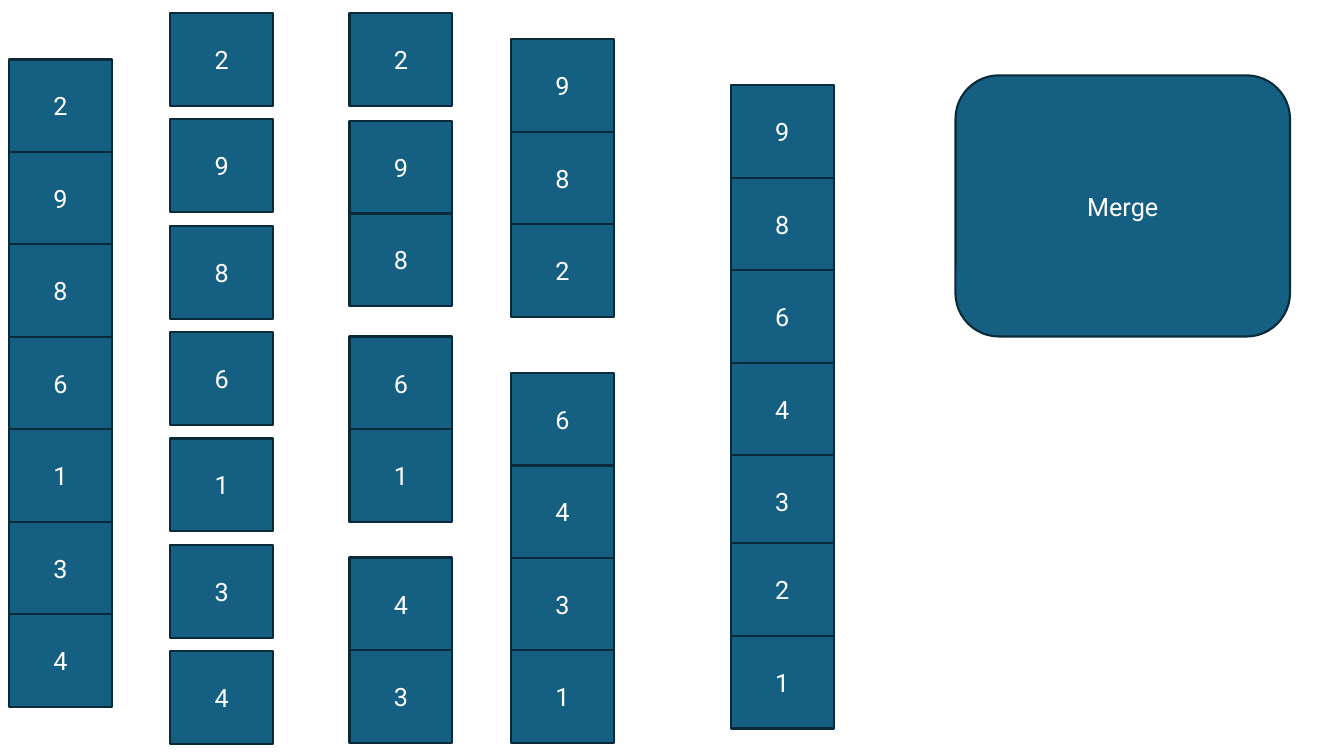
from pptx import Presentation
from pptx.dml.color import RGBColor
from pptx.enum.shapes import MSO_SHAPE as Shape
from pptx.enum.text import MSO_ANCHOR as Anchor, PP_ALIGN as Align
from pptx.util import Cm, Pt

COLORS = {"fill": "156082", "line": "092A39", "text": "FFFFFF"}
CELL_WIDTH, CELL_HEIGHT = 2.59, 2.34
STACKED, SPLIT = 2.33, 2.68  # distance from one cell top to the next


def write_text(frame, text, size=18, font="Roboto", color="text", align=Align.CENTER):
    frame.word_wrap = True
    frame.vertical_anchor = Anchor.MIDDLE
    paragraph = frame.paragraphs[0]
    paragraph.alignment = align
    run = paragraph.add_run()
    run.text = text
    run.font.name = font
    run.font.size = Pt(size)
    run.font.color.rgb = RGBColor.from_string(COLORS[color])


class MergeSortSlide:
    def __init__(self, slide):
        self.slide = slide

    def box(self, text, left, top, width, height, kind=Shape.RECTANGLE):
        box = self.slide.shapes.add_shape(kind, Cm(left), Cm(top), Cm(width), Cm(height))
        box.shadow.inherit = False
        box.fill.solid()
        box.fill.fore_color.rgb = RGBColor.from_string(COLORS["fill"])
        box.line.color.rgb = RGBColor.from_string(COLORS["line"])
        box.line.width = Pt(1.5)
        write_text(box.text_frame, text)

    def stack(self, digits, left, top, pitch=STACKED):
        for row, digit in enumerate(digits):
            self.box(digit, left, top + row * pitch, CELL_WIDTH, CELL_HEIGHT)


def main():
    deck = Presentation()
    deck.slide_width, deck.slide_height = Cm(33.87), Cm(19.05)
    page = MergeSortSlide(deck.slides.add_slide(deck.slide_layouts[6]))

    # Unsorted list, then the same list split into single items
    page.stack("2986134", 0.23, 1.5)
    page.stack("2986134", 4.29, 0.33, pitch=SPLIT)

    # First merge: sorted pairs
    for digits, top in (("2", 0.33), ("98", 3.05), ("61", 8.48), ("43", 14.05)):
        page.stack(digits, 8.81, top)

    # Second merge: two sorted halves
    for digits, top in (("982", 0.99), ("6431", 9.4)):
        page.stack(digits, 12.88, top)

    # Sorted list, its last two items sitting slightly higher
    for digits, top in (("98643", 2.15), ("21", 13.69)):
        page.stack(digits, 18.42, top)

    # Name of the step
    page.box("Merge", 24.08, 1.9, 8.43, 6.58, kind=Shape.ROUNDED_RECTANGLE)

    deck.save("out.pptx")


if __name__ == "__main__":
    main()
